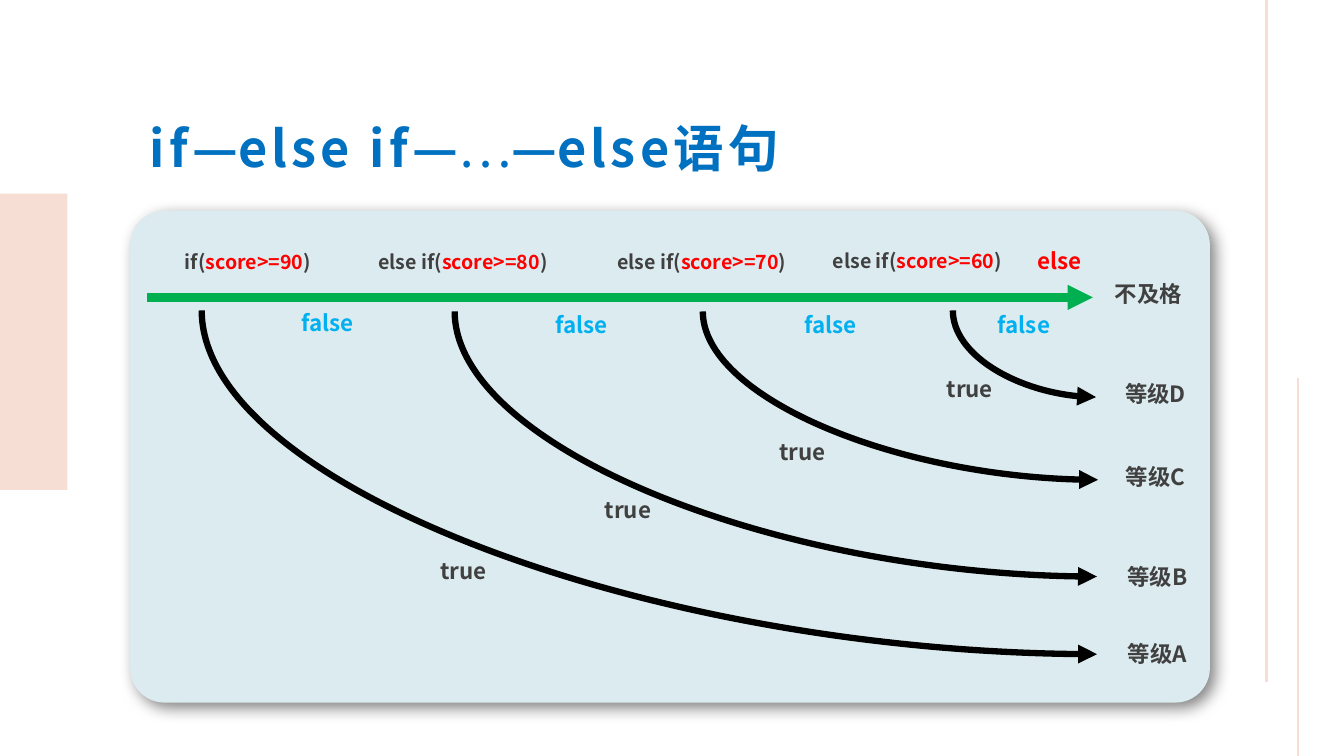
from pptx import Presentation
from pptx.dml.color import RGBColor
from pptx.enum.shapes import MSO_CONNECTOR, MSO_SHAPE
from pptx.enum.text import MSO_ANCHOR, MSO_AUTO_SIZE, PP_ALIGN
from pptx.oxml import parse_xml
from pptx.oxml.ns import nsdecls, qn
from pptx.util import Inches, Pt

FONT = "Noto Sans CJK SC"
PEACH = RGBColor(0xF6, 0xDE, 0xD4)
MIST = RGBColor(0xDC, 0xEB, 0xEF)
GREEN = RGBColor(0x00, 0xB0, 0x50)
BLUE = RGBColor(0x00, 0x70, 0xC0)
SKY = RGBColor(0x00, 0xB0, 0xF0)
RED = RGBColor(0xFF, 0x00, 0x00)
GREY = RGBColor(0x40, 0x40, 0x40)
BLACK = RGBColor(0x00, 0x00, 0x00)

# condition start, condition, its (left, top, width)
CONDITIONS = [
    ("if(", "score>=90", (1.46, 2.43, 2)),
    ("else if(", "score>=80", (3.32, 2.43, 2.54)),
    ("else if(", "score>=70", (5.69, 2.43, 2.54)),
    ("else if(", "score>=60", (7.83, 2.42, 2.54)),
]
# grade, curve start, curve end, left and top of the grade, "true" and "false"
BRANCHES = [
    ("等级A", (2, 3.08), (10.88, 6.49), (10.88, 6.3), (4.27, 5.48), (2.89, 3.02)),
    ("等级B", (4.51, 3.09), (10.88, 5.72), (10.88, 5.54), (5.9, 4.87), (5.41, 3.04)),
    ("等级C", (6.97, 3.09), (10.89, 4.76), (10.86, 4.55), (7.63, 4.3), (7.88, 3.04)),
    ("等级D", (9.45, 3.08), (10.87, 3.94), (10.86, 3.72), (9.29, 3.67), (9.8, 3.04)),
]


def add_run(p, text, size=16, color=GREY, bold=True, spacing=0):
    r = p.add_run()
    r.text = text
    r.font.size, r.font.bold, r.font.name = Pt(size), bold, FONT
    r.font.color.rgb = color
    rPr = r.font._element
    rPr.set("spc", str(spacing * 100))
    rPr.append(parse_xml(f'<a:ea {nsdecls("a")} typeface="{FONT}"/>'))


def add_text(slide, box, runs, align=PP_ALIGN.LEFT, wrap=True, **fmt):
    """Add a text box; runs is a string or a list of (text, colour)."""
    tf = slide.shapes.add_textbox(*map(Inches, box)).text_frame
    tf.word_wrap = wrap
    tf.auto_size = MSO_AUTO_SIZE.SHAPE_TO_FIT_TEXT
    p = tf.paragraphs[0]
    p.alignment = align
    if isinstance(runs, str):
        add_run(p, runs, **fmt)
    else:
        for text, color in runs:
            add_run(p, text, color=color, **fmt)


def add_block(slide, kind, box, color):
    sp = slide.shapes.add_shape(kind, *map(Inches, box))
    sp.shadow.inherit = False
    sp.fill.solid()
    sp.fill.fore_color.rgb = color
    sp.line.fill.background()
    return sp


def add_line(slide, start, end, color, width, arrow=False, kind=MSO_CONNECTOR.STRAIGHT):
    line = slide.shapes.add_connector(kind, *map(Inches, start + end))
    line.line.color.rgb = color
    line.line.width = Pt(width)
    if arrow:
        line.line._get_or_add_ln().append(
            parse_xml(f'<a:tailEnd {nsdecls("a")} type="triangle"/>'))
    line._element.spPr.append(parse_xml(f'<a:effectLst {nsdecls("a")}/>'))
    return line


def add_curve(slide, start, end):
    """Draw a quarter curve that leaves downwards and arrives rightwards."""
    (x1, y1), (x2, y2) = start, end
    dx, dy = x2 - x1, y2 - y1
    left, top = (x1 + x2 - dy) / 2, (y1 + y2 - dx) / 2
    curve = add_line(slide, (left, top), (left + dy, top + dx), BLACK, 4.5,
                     arrow=True, kind=MSO_CONNECTOR.CURVE)
    spPr = curve._element.spPr
    spPr.find(qn("a:prstGeom")).set("prst", "curvedConnector2")
    xfrm = spPr.find(qn("a:xfrm"))
    xfrm.set("rot", str(270 * 60000))
    xfrm.set("flipH", "1")


def add_decoration(slide):
    add_block(slide, MSO_SHAPE.RECTANGLE, (0, 1.92, 0.67, 2.94), PEACH)
    add_line(slide, (12.56, 6.77), (12.56, 0), PEACH, 2.25)
    add_line(slide, (12.87, 7.5), (12.87, 3.75), PEACH, 1.5)


def add_title(slide, box):
    title = slide.shapes.title
    title.left, title.top, title.width, title.height = map(Inches, box)
    tf = title.text_frame
    tf.word_wrap = False
    tf.auto_size = MSO_AUTO_SIZE.SHAPE_TO_FIT_TEXT
    tf.vertical_anchor = MSO_ANCHOR.TOP
    p = tf.paragraphs[0]
    p.alignment = PP_ALIGN.CENTER
    for text, spacing in [("if", 3), ("—", 0), ("else if", 3), ("—", 0),
                          ("…", 0), ("—", 0), ("else语句", 3)]:
        add_run(p, text, size=36, color=BLUE, bold=text != "…", spacing=spacing)


def add_card(slide, box):
    card = add_block(slide, MSO_SHAPE.ROUNDED_RECTANGLE, box, MIST)
    card.adjustments[0] = 0.07
    effects = card._element.spPr.find(qn("a:effectLst"))
    effects.append(parse_xml(
        f'<a:outerShdw {nsdecls("a")} blurRad="{Pt(12)}" dist="{Pt(6)}" '
        f'dir="{45 * 60000}" algn="tl" rotWithShape="0"><a:srgbClr val="{BLACK}">'
        '<a:alpha val="50000"/></a:srgbClr></a:outerShdw>'))


def add_flow(slide, box):
    """Place the decision flow relative to the top left corner of its card."""
    left, top = box[:2]
    center = PP_ALIGN.CENTER

    def at(x, y, *size):
        return (left + x - 1.29, top + y - 2.09) + size

    add_line(slide, at(1.46, 2.95), at(10.84, 2.95), GREEN, 6, arrow=True)
    for opening, test, (x, y, width) in CONDITIONS:
        add_text(slide, at(x, y, width, 0.34),
                 [(opening, GREY), (test, RED), (")", GREY)], align=center, size=14)
    add_text(slide, at(10.19, 2.4, 0.85, 0.37), "else", color=RED)
    add_text(slide, at(10.96, 2.73, 0.87, 0.37), "不及格", wrap=False)
    for grade, start, end, grade_at, true_at, false_at in BRANCHES:
        add_curve(slide, at(*start), at(*end))
        add_text(slide, at(*grade_at, 1.2, 0.37), grade, align=center)
        add_text(slide, at(*true_at, 0.92, 0.37), "true")
        add_text(slide, at(*false_at, 0.94, 0.37), "false", color=SKY)


def main():
    prs = Presentation()
    prs.slide_width, prs.slide_height = Inches(13.33), Inches(7.5)
    slide = prs.slides.add_slide(prs.slide_layouts[5])
    card_box = (1.29, 2.09, 10.71, 4.88)
    add_decoration(slide)
    add_title(slide, (1.29, 1.11, 6.63, 0.71))
    add_card(slide, card_box)
    add_flow(slide, card_box)
    prs.save("out.pptx")


if __name__ == "__main__":
    main()
